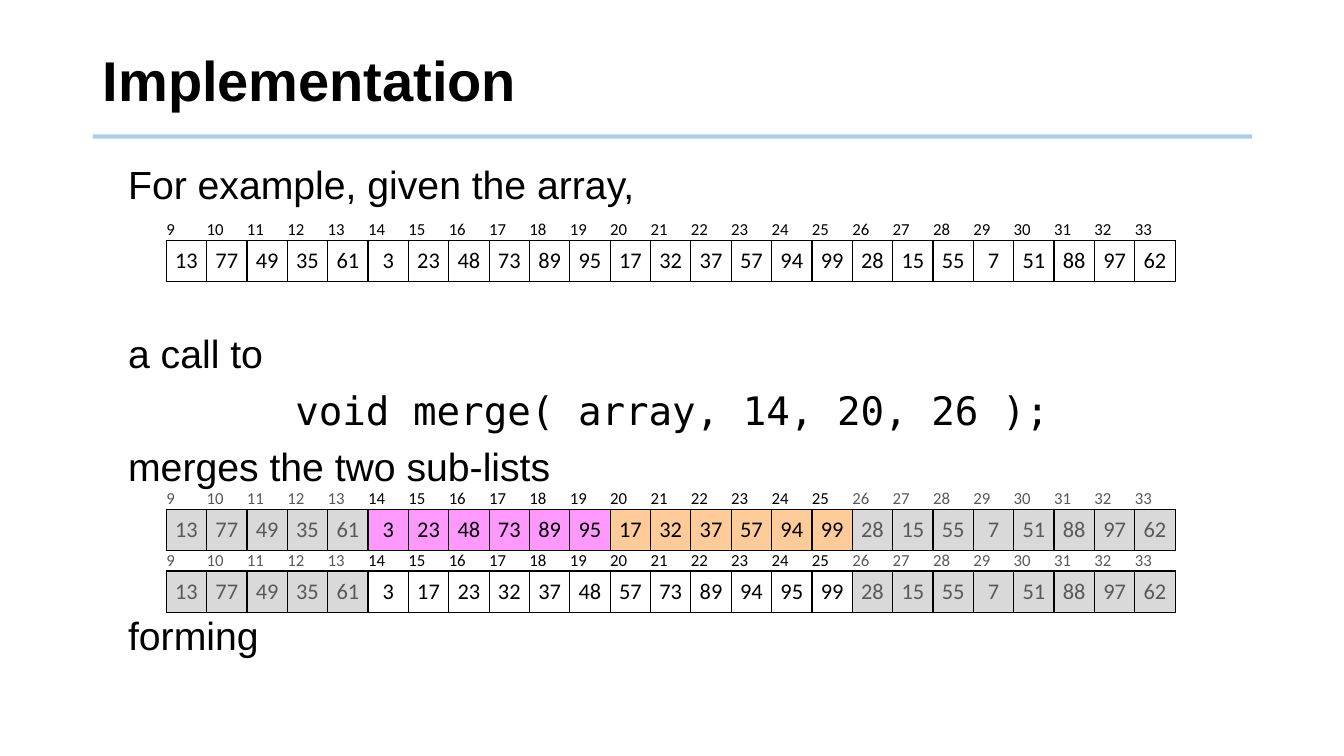
"""Build a slide that shows how merge joins two sorted sub-lists of an array."""
from lxml.etree import SubElement
from pptx import Presentation
from pptx.dml.color import RGBColor
from pptx.enum.shapes import MSO_CONNECTOR
from pptx.enum.text import MSO_ANCHOR, PP_ALIGN
from pptx.oxml import parse_xml
from pptx.oxml.ns import nsdecls, qn
from pptx.util import Cm, Pt

BLACK = RGBColor(0x00, 0x00, 0x00)
GREY = RGBColor(0x59, 0x59, 0x59)
SILVER = RGBColor(0xD9, 0xD9, 0xD9)
PINK = RGBColor(0xFF, 0x99, 0xFF)
ORANGE = RGBColor(0xFF, 0xCC, 0x99)
BLUE = RGBColor(0x5B, 0x9B, 0xD5)
NO_STYLE = "{2D5ABB26-0587-4C30-8999-92F81FD0307C}"
FIRST, LEFT, MID, RIGHT = 9, 14, 20, 26


def set_font(par, face, size, colour=BLACK, bold=False):
    for run in par.runs:
        run.font.name = face
        run.font.size = Pt(size)
        run.font.color.rgb = colour
        run.font.bold = bold


def add_edges(cell, sides):
    props = cell._tc.get_or_add_tcPr()
    for side in sides:
        props.append(parse_xml(
            f'<a:ln{side} {nsdecls("a")} w="12700"><a:solidFill>'
            f'<a:srgbClr val="{BLACK}"/></a:solidFill></a:ln{side}>'))


deck = Presentation()
deck.slide_width, deck.slide_height = Cm(33.87), Cm(19.05)
slide = deck.slides.add_slide(deck.slide_layouts[6])

rule = slide.shapes.add_connector(
    MSO_CONNECTOR.STRAIGHT, Cm(2.34), Cm(3.44), Cm(31.55), Cm(3.44))
rule.line.color.rgb = BLUE
rule.line.width = Pt(3)
tint = rule.line._ln.find(".//" + qn("a:srgbClr"))
SubElement(tint, qn("a:alpha"), val="50000")
SubElement(rule._element.spPr, qn("a:effectLst"))

title = slide.shapes.add_textbox(Cm(2.34), Cm(0.71), Cm(29.21), Cm(2.79)).text_frame
title.word_wrap = True
title.vertical_anchor = MSO_ANCHOR.MIDDLE
title.text = "Implementation"
title.paragraphs[0].line_spacing = 0.9
set_font(title.paragraphs[0], "Arial", 40, bold=True)

body = slide.shapes.add_textbox(Cm(2.34), Cm(4.06), Cm(29.21), Cm(13.08)).text_frame
body.word_wrap = True
CODE = "void merge( array, 14, 20, 26 );"
lines = [
    ("For example, given the array,", 0),
    ("a call to", 90.4),
    (CODE, 10),
    ("merges the two sub-lists", 10),
    ("forming", 90.4),
]
body.text = "\n".join(text for text, gap in lines)
for par, (text, gap) in zip(body.paragraphs, lines):
    par.line_spacing = 0.9
    if gap:
        par.space_before = Pt(gap)
    if text == CODE:
        par.alignment = PP_ALIGN.CENTER
        set_font(par, "DejaVu Sans Mono", 28)
    else:
        par._p.get_or_add_pPr().set("marL", str(Cm(0.64)))
        set_font(par, "Arial", 28)

given = [13, 77, 49, 35, 61, 3, 23, 48, 73, 89, 95, 17, 32,
         37, 57, 94, 99, 28, 15, 55, 7, 51, 88, 97, 62]
start, stop = LEFT - FIRST, RIGHT - FIRST
merged = given[:start] + sorted(given[start:stop]) + given[stop:]
arrays = [
    (5.54, given, None, None, None),
    (12.32, given, SILVER, PINK, ORANGE),
    (13.87, merged, SILVER, None, None),
]
for top, values, outer, low, high in arrays:
    table = slide.shapes.add_table(
        2, len(values), Cm(4.19), Cm(top), Cm(25.43), Cm(1.56)).table
    table.first_row = table.horz_banding = False
    table._tbl.tblPr.find(qn("a:tableStyleId")).text = NO_STYLE
    table.rows[0].height, table.rows[1].height = Cm(0.52), Cm(1.04)
    for col, value in enumerate(values):
        index = FIRST + col
        inside = LEFT <= index < RIGHT
        shade = outer if not inside else low if index < MID else high
        ink = GREY if outer and not inside else BLACK
        rows = [
            (index, 12, PP_ALIGN.LEFT, "B", None),
            (value, 16, PP_ALIGN.CENTER, "LRTB", shade),
        ]
        for row, (number, size, align, sides, fill) in enumerate(rows):
            cell = table.cell(row, col)
            cell.text = str(number)
            cell.vertical_anchor = MSO_ANCHOR.MIDDLE
            cell.margin_left = cell.margin_right = 0
            cell.margin_top = cell.margin_bottom = 0
            par = cell.text_frame.paragraphs[0]
            par.alignment = align
            set_font(par, "Calibri", size, ink)
            add_edges(cell, sides)
            if fill:
                cell.fill.solid()
                cell.fill.fore_color.rgb = fill
            else:
                cell.fill.background()

deck.save("out.pptx")
